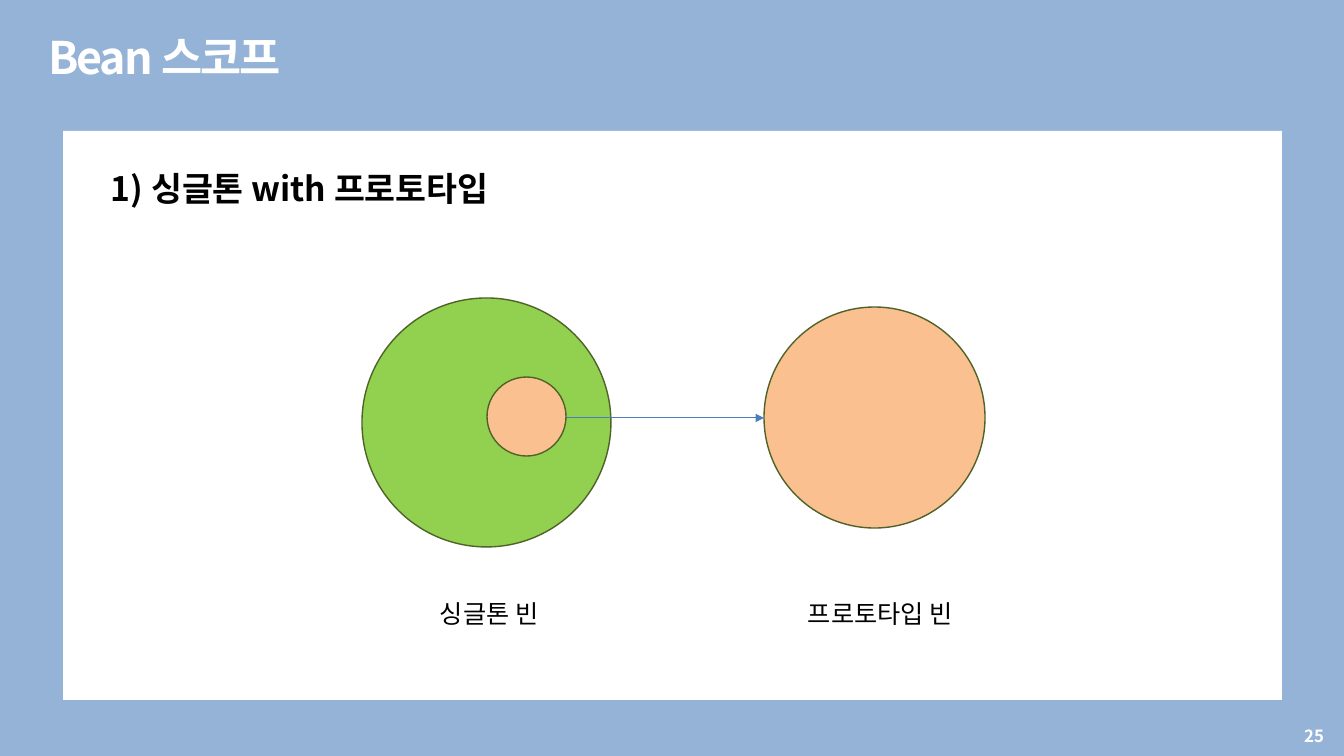
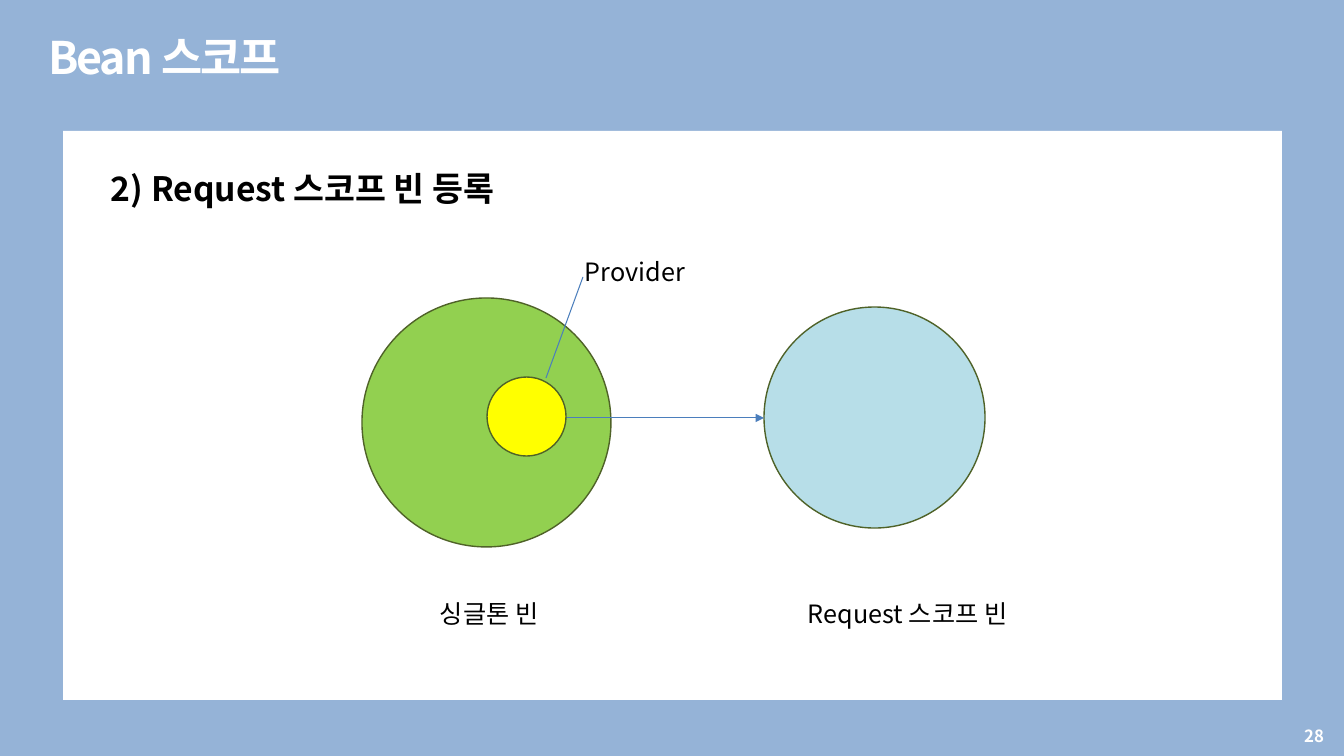
from lxml.etree import SubElement
from pptx import Presentation
from pptx.dml.color import RGBColor
from pptx.enum.shapes import MSO_CONNECTOR, MSO_SHAPE
from pptx.enum.text import MSO_ANCHOR as ANCHOR, MSO_AUTO_SIZE, PP_ALIGN as ALIGN
from pptx.oxml.ns import qn
from pptx.util import Pt

PX = 914400 / 100.8
FONT = "Noto Sans CJK KR"
COLORS = {
    "sky": "95B3D7", "white": "FFFFFF", "black": "000000",
    "green": "92D050", "peach": "FAC090", "yellow": "FFFF00",
    "pale_blue": "B7DEE8", "outline": "4F6228", "arrow": "4B7EBC",
}
PANEL = (63, 131, 1219, 569)


def px(*lengths):
    return [round(length * PX) for length in lengths]


def color(name):
    return RGBColor.from_string(COLORS[name])


def write(shape, text, size, ink="black", bold=False, align=ALIGN.LEFT,
          anchor=ANCHOR.TOP, wrap=True, tracking=None):
    frame = shape.text_frame
    frame.text = text
    frame.word_wrap = wrap
    frame.auto_size = MSO_AUTO_SIZE.NONE
    frame.vertical_anchor = anchor
    frame.margin_left, frame.margin_right = px(10, 10)
    frame.margin_top = frame.margin_bottom = 0
    paragraph = frame.paragraphs[0]
    paragraph.alignment = align
    run = paragraph.runs[0]
    run.font.size, run.font.bold = Pt(size), bold
    run.font.color.rgb = color(ink)
    run.font.name = FONT
    properties = run.font._element
    SubElement(properties, qn("a:ea")).set("typeface", FONT)
    if tracking:
        properties.set("spc", str(tracking))


def add_text(slide, box, text, size, **style):
    write(slide.shapes.add_textbox(*px(*box)), text, size, **style)


def add_panel_shape(slide, kind, box, fill, outline=None):
    shape = slide.shapes.add_shape(kind, *px(*box))
    shape.shadow.inherit = False
    shape.fill.solid()
    shape.fill.fore_color.rgb = color(fill)
    if outline:
        shape.line.color.rgb = color(outline)
        shape.line.width = Pt(1)
    else:
        shape.line.fill.background()


def add_circle(slide, left, top, diameter, fill):
    add_panel_shape(slide, MSO_SHAPE.OVAL, (left, top, diameter, diameter), fill, "outline")


def add_line(slide, start, end, arrow=False):
    line = slide.shapes.add_connector(MSO_CONNECTOR.STRAIGHT, *px(*start, *end))
    line.line.color.rgb = color("arrow")
    line.line.width = Pt(0.75)
    if arrow:
        SubElement(line.line._get_or_add_ln(), qn("a:tailEnd")).set("type", "triangle")
    SubElement(line._element.spPr, qn("a:effectLst"))


def add_label(slide, left, top, width, text):
    add_text(slide, (left, top, width, 66), text, 18, anchor=ANCHOR.BOTTOM)


def add_bean_diagram(slide, box, bean, bean_fill, held_fill, provider):
    left, top = box[:2]
    labels_top = top + 432
    # Singleton bean, and the bean it refers to
    add_circle(slide, left + 299, top + 167, 249, "green")
    add_label(slide, left + 367, labels_top, 135, "싱글톤 빈")
    add_circle(slide, left + 701, top + 176, 221, bean_fill)
    add_label(slide, left + 735, labels_top, 239, bean)
    # Reference held inside the singleton
    add_line(slide, (left + 503, top + 287), (left + 701, top + 287), arrow=True)
    add_circle(slide, left + 424, top + 246, 79, held_fill)
    if provider:
        add_line(slide, (left + 483, top + 247), (left + 520, top + 146))
        add_label(slide, left + 512, top + 90, 135, provider)


def add_scope_slide(prs, number, heading, bean, bean_fill, held_fill, provider=None):
    slide = prs.slides.add_slide(prs.slide_layouts.get_by_name("Title Only"))
    # Title and page number
    title = slide.shapes.title
    title.left, title.top, title.width, title.height = px(38, 30, 267, 65)
    write(title, "Bean 스코프", 32, ink="white", bold=True, wrap=False, tracking=-150)
    add_text(slide, (1021, 716, 313, 40), str(number), 12, ink="white", bold=True,
             align=ALIGN.RIGHT, anchor=ANCHOR.MIDDLE)
    # White panel with heading and diagram
    add_panel_shape(slide, MSO_SHAPE.RECTANGLE, PANEL, "white")
    add_text(slide, (PANEL[0] + 38, PANEL[1] + 37, 430, 50), heading, 24,
             bold=True, wrap=False)
    add_bean_diagram(slide, PANEL, bean, bean_fill, held_fill, provider)


prs = Presentation()
prs.slide_width, prs.slide_height = px(1344, 756)
backdrop = prs.slide_master.background.fill
backdrop.solid()
backdrop.fore_color.rgb = color("sky")

add_scope_slide(prs, 25, "1) 싱글톤 with 프로토타입", "프로토타입 빈", "peach", "peach")
add_scope_slide(prs, 28, "2) Request 스코프 빈 등록", "Request 스코프 빈",
                "pale_blue", "yellow", provider="Provider")
prs.save("out.pptx")
